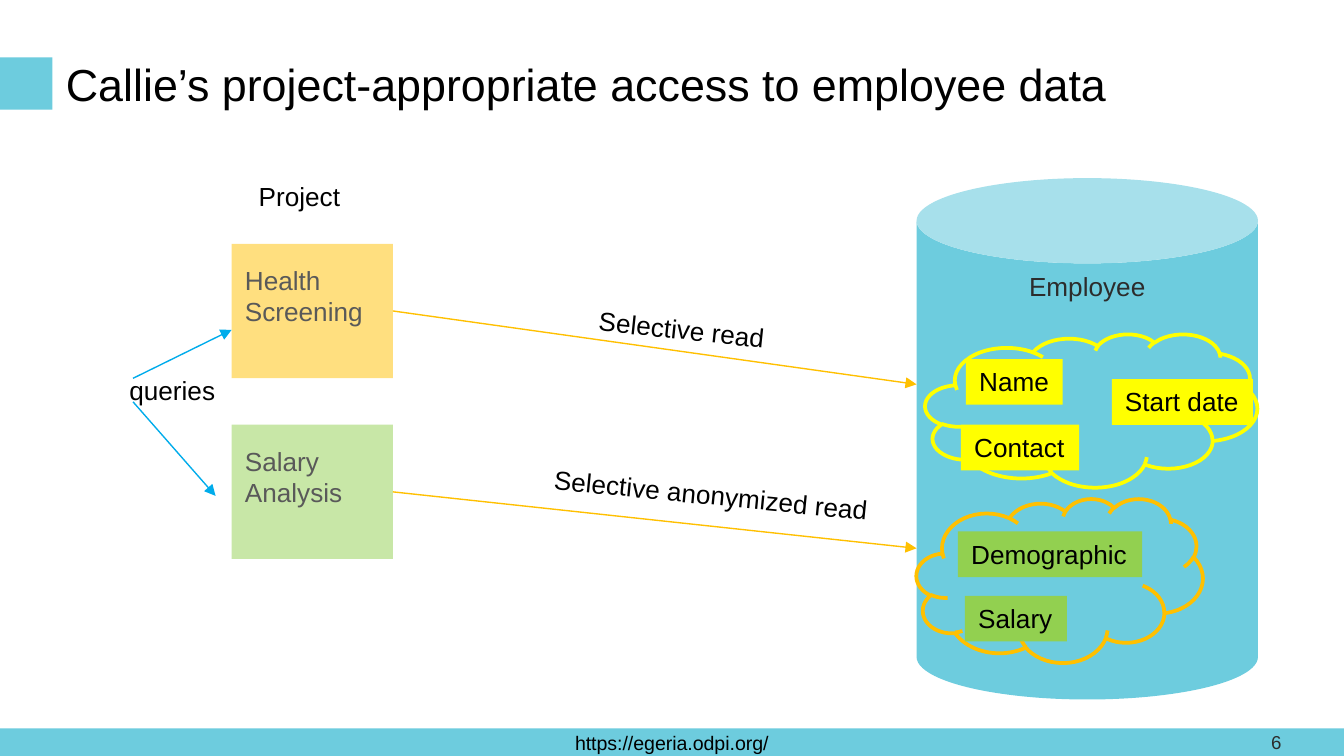
from dataclasses import dataclass
from typing import NamedTuple, Optional

from lxml.etree import SubElement
from pptx import Presentation
from pptx.dml.color import RGBColor
from pptx.enum.shapes import MSO_CONNECTOR, MSO_SHAPE
from pptx.enum.text import MSO_ANCHOR, MSO_AUTO_SIZE, PP_ALIGN
from pptx.oxml.ns import qn
from pptx.util import Inches, Pt


@dataclass(frozen=True)
class Theme:
    font: str = "Arial"
    title_size: float = 24
    label_size: float = 14
    footer_size: float = 10.5
    number_size: float = 10
    black: str = "000000"
    dark: str = "2C2C2C"
    gray: str = "595959"
    teal: str = "6DCCDE"
    yellow: str = "FFFF00"
    amber: str = "FFC000"
    green: str = "92D050"
    blue: str = "00ACEB"
    cloud_line: float = 2
    arrow_line: float = 0.75


class Box(NamedTuple):
    column: float
    row: float
    columns: float
    rows: float


class Label(NamedTuple):
    text: str
    box: Box
    fill: Optional[str] = None
    rotation: float = 0


class Project(NamedTuple):
    text: str
    row: float
    fill: str


class Arrow(NamedTuple):
    start: tuple[float, float]
    end: tuple[float, float]
    color: str


class Cloud(NamedTuple):
    box: Box
    line: str


THEME = Theme()
GRID_COLUMNS, GRID_ROWS = 100, 56.25
LABEL_ROWS = 3.4

presentation = Presentation()
presentation.slide_width = Inches(10)
presentation.slide_height = Inches(10 * 9 / 16)
slide = presentation.slides.add_slide(presentation.slide_layouts[5])


def across(columns: float) -> int:
    return round(presentation.slide_width * columns / GRID_COLUMNS)


def down(rows: float) -> int:
    return round(presentation.slide_height * rows / GRID_ROWS)


def place(box: Box) -> tuple[int, int, int, int]:
    return across(box.column), down(box.row), across(box.columns), down(box.rows)


def write(shape, text: str, size: float, color: str,
          alignment=PP_ALIGN.LEFT, anchor=MSO_ANCHOR.TOP, wrap: bool = True) -> None:
    frame = shape.text_frame
    frame.text = text
    frame.word_wrap = wrap
    frame.vertical_anchor = anchor
    for paragraph in frame.paragraphs:
        paragraph.alignment = alignment
        for run in paragraph.runs:
            run.font.name = THEME.font
            run.font.size = Pt(size)
            run.font.color.rgb = RGBColor.from_string(color)


def add_shape(kind: MSO_SHAPE, box: Box, fill: str, line: Optional[str] = None):
    shape = slide.shapes.add_shape(kind, *place(box))
    shape.shadow.inherit = False
    shape.fill.solid()
    shape.fill.fore_color.rgb = RGBColor.from_string(fill)
    if line:
        shape.line.color.rgb = RGBColor.from_string(line)
        shape.line.width = Pt(THEME.cloud_line)
    else:
        shape.line.fill.background()
    return shape


def add_label(label: Label) -> None:
    if label.fill:
        shape = add_shape(MSO_SHAPE.RECTANGLE, label.box, label.fill)
    else:
        shape = slide.shapes.add_textbox(*place(label.box))
    shape.rotation = label.rotation
    write(shape, label.text, THEME.label_size, THEME.black, wrap=False)


def add_project(project: Project) -> None:
    shape = add_shape(MSO_SHAPE.RECTANGLE, Box(17.24, project.row, 12, 10), project.fill)
    color = shape._element.spPr.find(qn("a:solidFill"))[0]
    SubElement(color, qn("a:alpha")).set("val", "50000")
    write(shape, project.text, THEME.label_size, THEME.gray, anchor=MSO_ANCHOR.MIDDLE)
    shape.text_frame.margin_bottom = down(2.8)


def add_arrow(arrow: Arrow) -> None:
    (start_column, start_row), (end_column, end_row) = arrow.start, arrow.end
    connector = slide.shapes.add_connector(
        MSO_CONNECTOR.STRAIGHT, across(start_column), down(start_row),
        across(end_column), down(end_row))
    connector.line.color.rgb = RGBColor.from_string(arrow.color)
    connector.line.width = Pt(THEME.arrow_line)
    properties = connector._element.spPr
    SubElement(properties.find(qn("a:ln")), qn("a:tailEnd")).set("type", "triangle")
    SubElement(properties, qn("a:effectLst"))


def add_frame() -> None:
    footer = add_shape(MSO_SHAPE.RECTANGLE, Box(0, 54.2, GRID_COLUMNS, 2.05), THEME.teal)
    write(footer, "https://egeria.odpi.org/", THEME.footer_size, THEME.black,
          PP_ALIGN.CENTER, MSO_ANCHOR.MIDDLE)
    add_shape(MSO_SHAPE.RECTANGLE, Box(0, 4.26, 3.9, 3.9), THEME.teal)
    title = slide.shapes.title
    title.left, title.top, title.width, title.height = place(Box(3.9, 3.1, 92.7, 6.3))
    write(title, "Callie’s project-appropriate access to employee data",
          THEME.title_size, THEME.black, anchor=MSO_ANCHOR.MIDDLE)
    title.text_frame.auto_size = MSO_AUTO_SIZE.NONE
    number = slide.shapes.add_textbox(*place(Box(93.6, 54.2, 6, 2.05)))
    write(number, "6", THEME.number_size, THEME.dark, anchor=MSO_ANCHOR.MIDDLE)


CLOUDS = (
    Cloud(Box(68.85, 24.85, 24.7, 11.4), THEME.yellow),
    Cloud(Box(68.2, 37.1, 21.3, 12.2), THEME.amber),
)
PROJECTS = (
    Project("Health\nScreening", 18.14, THEME.amber),
    Project("Salary Analysis", 31.6, THEME.green),
)
ARROWS = (
    Arrow((29.24, 23.14), (68.2, 28.6), THEME.amber),
    Arrow((29.24, 36.6), (68.2, 40.8), THEME.amber),
    Arrow((9.9, 28.15), (17.24, 24.54), THEME.blue),
    Arrow((9.9, 29.9), (16.04, 36.9), THEME.blue),
)
LABELS = (
    Label("Name", Box(71.87, 26.72, 7.2, LABEL_ROWS), THEME.yellow),
    Label("Contact", Box(71.5, 31.6, 8.8, LABEL_ROWS), THEME.yellow),
    Label("Start date", Box(82.72, 28.22, 10.5, LABEL_ROWS), THEME.yellow),
    Label("Demographic", Box(71.28, 39.54, 13.7, LABEL_ROWS), THEME.green),
    Label("Salary", Box(71.8, 44.34, 7.6, LABEL_ROWS), THEME.green),
    Label("Selective read", Box(43.55, 22.86, 15, LABEL_ROWS), rotation=6),
    Label("Selective anonymized read", Box(40.2, 35.15, 25.5, LABEL_ROWS), rotation=5.6),
    Label("Project", Box(18.26, 12.95, 8.1, LABEL_ROWS)),
    Label("queries", Box(8.64, 27.34, 8.4, LABEL_ROWS)),
)

add_frame()
database = add_shape(MSO_SHAPE.CAN, Box(68.2, 13.25, 25.4, 38.8), THEME.teal)
write(database, "Employee", THEME.label_size, THEME.dark, PP_ALIGN.CENTER)
for cloud in CLOUDS:
    add_shape(MSO_SHAPE.CLOUD, cloud.box, THEME.teal, cloud.line)
for project in PROJECTS:
    add_project(project)
for arrow in ARROWS:
    add_arrow(arrow)
for label in LABELS:
    add_label(label)

presentation.save("out.pptx")
